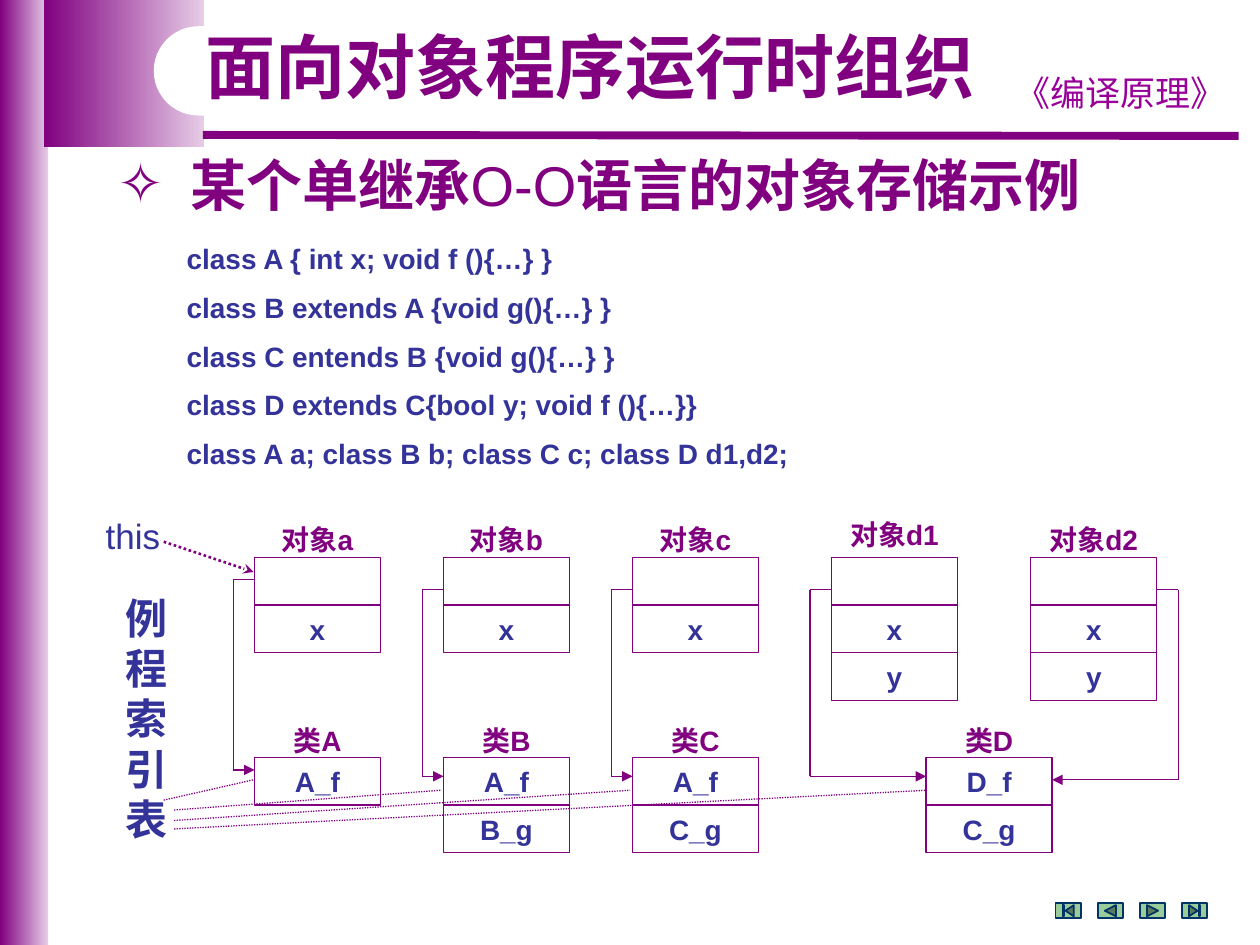
import pptx
import pptx.dml.color
import pptx.enum.dml
import pptx.enum.shapes
import pptx.enum.text
import pptx.oxml
import pptx.oxml.ns
import pptx.util
from lxml import etree

Cm, Pt = pptx.util.Cm, pptx.util.Pt
RGBColor = pptx.dml.color.RGBColor
SHAPE = pptx.enum.shapes.MSO_SHAPE
ALIGN = pptx.enum.text.PP_ALIGN
ANCHOR = pptx.enum.text.MSO_ANCHOR
qn = pptx.oxml.ns.qn

PURPLE = RGBColor(0x80, 0x00, 0x80)
PALE_PURPLE = RGBColor(0xE6, 0xCC, 0xE6)
MAGENTA = RGBColor(0x99, 0x00, 0x99)
INDIGO = RGBColor(0x33, 0x33, 0x99)
GREEN = RGBColor(0x99, 0xCC, 0x99)
NAVY = RGBColor(0x00, 0x33, 0x66)
WHITE = RGBColor(0xFF, 0xFF, 0xFF)

CELL_W, CELL_H = 2.54, 0.96
OBJECT_TOP, CLASS_TOP = 11.24, 15.27
LANE_GAP = 0.43

CODE = [
    "class A { int x; void f (){…} }",
    "class B extends A {void g(){…} }",
    "class C entends B {void g(){…} }",
    "class D extends C{bool y; void f (){…}}",
    "class A a; class B b; class C c; class D d1,d2;",
]
# label, left, label top, cells
STACKS = [
    ("对象a", 5.13, 10.41, OBJECT_TOP, ["", "x"]),
    ("对象b", 8.94, 10.41, OBJECT_TOP, ["", "x"]),
    ("对象c", 12.75, 10.41, OBJECT_TOP, ["", "x"]),
    ("对象d1", 16.76, 10.31, OBJECT_TOP, ["", "x", "y"]),
    ("对象d2", 20.78, 10.41, OBJECT_TOP, ["", "x", "y"]),
    ("类A", 5.13, 14.45, CLASS_TOP, ["A_f"]),
    ("类B", 8.94, 14.45, CLASS_TOP, ["A_f", "B_g"]),
    ("类C", 12.75, 14.45, CLASS_TOP, ["A_f", "C_g"]),
    ("类D", 18.67, 14.45, CLASS_TOP, ["D_f", "C_g"]),
]
# object edge, lane, class edge, y at object, y at class
POINTERS = [
    (5.13, 5.13 - LANE_GAP, 5.13, 11.68, 15.52),
    (8.94, 8.94 - LANE_GAP, 8.94, 11.89, 15.65),
    (12.75, 12.75 - LANE_GAP, 12.75, 11.89, 15.65),
    (16.76, 16.76 - LANE_GAP, 18.67, 11.89, 15.65),
    (23.32, 23.32 + LANE_GAP, 21.21, 11.89, 15.72),
]
INDEX_LINES = [
    ((3.3, 16.13), (5.11, 15.72)),
    ((3.51, 16.33), (8.89, 15.93)),
    ((3.51, 16.54), (12.7, 15.93)),
    ((3.51, 16.71), (18.69, 15.93)),
]
NAV_BUTTONS = [
    SHAPE.ACTION_BUTTON_BEGINNING,
    SHAPE.ACTION_BUTTON_BACK_OR_PREVIOUS,
    SHAPE.ACTION_BUTTON_FORWARD_OR_NEXT,
    SHAPE.ACTION_BUTTON_END,
]


def style_paragraph(paragraph, size, color, bold=True, align=ALIGN.LEFT, font="Arial"):
    paragraph.alignment = align
    paragraph.font.name = font
    paragraph.font.size = Pt(size)
    paragraph.font.bold = bold
    paragraph.font.color.rgb = color


def add_label(slide, text, left, top, width, height, size, color, **style):
    frame = slide.shapes.add_textbox(Cm(left), Cm(top), Cm(width), Cm(height)).text_frame
    frame.word_wrap = True
    frame.vertical_anchor = ANCHOR.MIDDLE
    frame.text = text
    style_paragraph(frame.paragraphs[0], size, color, **style)
    return frame


def add_block(slide, kind, left, top, width, height, fill=None, outline=None, weight=0.75):
    block = slide.shapes.add_shape(kind, Cm(left), Cm(top), Cm(width), Cm(height))
    block.shadow.inherit = False
    if fill is None:
        block.fill.background()
    else:
        block.fill.solid()
        block.fill.fore_color.rgb = fill
    if outline is None:
        block.line.fill.background()
    else:
        block.line.color.rgb = outline
        block.line.width = Pt(weight)
    return block


def add_gradient_band(slide, left, top, width, height):
    fill = add_block(slide, SHAPE.RECTANGLE, left, top, width, height).fill
    fill.gradient()
    fill.gradient_angle = 0
    for stop, position, color in zip(fill.gradient_stops, (0, 1), (PURPLE, PALE_PURPLE)):
        stop.position = position
        stop.color.rgb = color


def add_line(slide, start, end, weight=0.75, dotted=False, arrow=None):
    line = slide.shapes.add_connector(
        pptx.enum.shapes.MSO_CONNECTOR.STRAIGHT, *map(Cm, (*start, *end)))
    line.line.color.rgb = PURPLE
    line.line.width = Pt(weight)
    if dotted:
        line.line.dash_style = pptx.enum.dml.MSO_LINE.ROUND_DOT
    properties = line.element.spPr
    if arrow:
        etree.SubElement(properties.find(qn("a:ln")), qn("a:tailEnd"), type=arrow)
    etree.SubElement(properties, qn("a:effectLst"))


def add_stack(slide, label, left, label_top, top, cells):
    """A captioned column of cells: an object's fields or a class's methods."""
    add_label(slide, label, left, label_top, CELL_W, 0.94, 16, PURPLE, align=ALIGN.CENTER)
    for row, text in enumerate(cells):
        cell = add_block(slide, SHAPE.RECTANGLE, left, top + row * CELL_H,
                         CELL_W, CELL_H, outline=PURPLE)
        if text:
            cell.text_frame.text = text
            cell.text_frame.vertical_anchor = ANCHOR.MIDDLE
            style_paragraph(cell.text_frame.paragraphs[0], 16, INDIGO, align=ALIGN.CENTER)


def add_pointer(slide, object_x, lane_x, class_x, object_y, class_y):
    add_line(slide, (object_x, object_y), (lane_x, object_y))
    add_line(slide, (lane_x, object_y), (lane_x, class_y))
    add_line(slide, (lane_x, class_y), (class_x, class_y), arrow="triangle")


def place_placeholder(slide, placeholder, left, top, width, height, anchor):
    """Position a placeholder, bring it to the front and return its text frame."""
    placeholder.left, placeholder.top = Cm(left), Cm(top)
    placeholder.width, placeholder.height = Cm(width), Cm(height)
    slide.shapes.element.append(placeholder.element)
    frame = placeholder.text_frame
    frame.auto_size = pptx.enum.text.MSO_AUTO_SIZE.NONE
    frame.vertical_anchor = anchor
    return frame


def set_bullet(paragraph, symbol=None, indent=0):
    properties = paragraph._p.get_or_add_pPr()
    properties.set("marL", str(Cm(indent)))
    properties.set("indent", str(-Cm(indent)))
    if symbol:
        etree.SubElement(properties, qn("a:buChar"), char=symbol)
    else:
        etree.SubElement(properties, qn("a:buNone"))


def fill_title(slide):
    frame = place_placeholder(slide, slide.shapes.title, 3.89, 0.53, 16.2, 1.78, ANCHOR.MIDDLE)
    frame.text = "面向对象程序运行时组织"
    style_paragraph(frame.paragraphs[0], 40, PURPLE)
    frame.paragraphs[0].line_spacing = 0.9


def fill_heading(slide, placeholder):
    frame = place_placeholder(slide, placeholder, 2.11, 2.92, 21.21, 1.6, ANCHOR.MIDDLE)
    heading = frame.paragraphs[0]
    for text, bold in (("某个单继承", True), ("O-O", False), ("语言的对象存储示例", True)):
        run = heading.add_run()
        run.text = text
        run.font.bold = bold
    set_bullet(heading, "✧", 1.47)
    style_paragraph(heading, 32, PURPLE)
    heading.space_before = Pt(0)


def fill_code(slide, placeholder):
    frame = place_placeholder(slide, placeholder, 3.51, 4.74, 17, 5, ANCHOR.TOP)
    frame.text = "\n".join(CODE)
    for line in frame.paragraphs:
        set_bullet(line)
        style_paragraph(line, 16, INDIGO)
        line.space_before = Pt(0)
        line.space_after = Pt(8.7)


def add_decoration(slide):
    add_gradient_band(slide, 0, 0, 0.97, 19.05)
    add_gradient_band(slide, 0.89, 0, 3.22, 2.97)
    add_line(slide, (4.09, 2.72), (24.97, 2.74), weight=4.5)
    add_label(slide, "《编译原理》", 20.09, 1.32, 5, 1.09, 20, MAGENTA,
              bold=False, align=ALIGN.CENTER, font="Comic Neue")
    notch = add_block(slide, SHAPE.ROUNDED_RECTANGLE, 3.1, 0.53, 9.19, 1.8, fill=WHITE)
    notch.adjustments[0] = 0.5
    for position, kind in enumerate(NAV_BUTTONS):
        add_block(slide, kind, 21.28 + position * 0.85, 18.21, 0.51, 0.3, GREEN, NAVY, 1)


def main():
    deck = pptx.Presentation()
    deck.slide_width, deck.slide_height = Cm(25.4), Cm(19.05)
    slide = deck.slides.add_slide(deck.slide_layouts.get_by_name("Two Content"))
    add_decoration(slide)
    fill_title(slide)
    fill_heading(slide, slide.placeholders[1])
    fill_code(slide, slide.placeholders[2])
    for stack in STACKS:
        add_stack(slide, *stack)
    for pointer in POINTERS:
        add_pointer(slide, *pointer)
    add_label(slide, "例程索引表", 2.29, 11.81, 1.8, 5.33, 24, INDIGO)
    for start, end in INDEX_LINES:
        add_line(slide, start, end, dotted=True)
    this_label = add_label(slide, "this", 1.88, 10.26, 1.6, 1.09, 20, INDIGO, bold=False)
    this_label.word_wrap = False
    add_line(slide, (3.3, 10.92), (5.11, 11.53), 1.5, dotted=True, arrow="stealth")
    deck.save("out.pptx")


if __name__ == "__main__":
    main()
